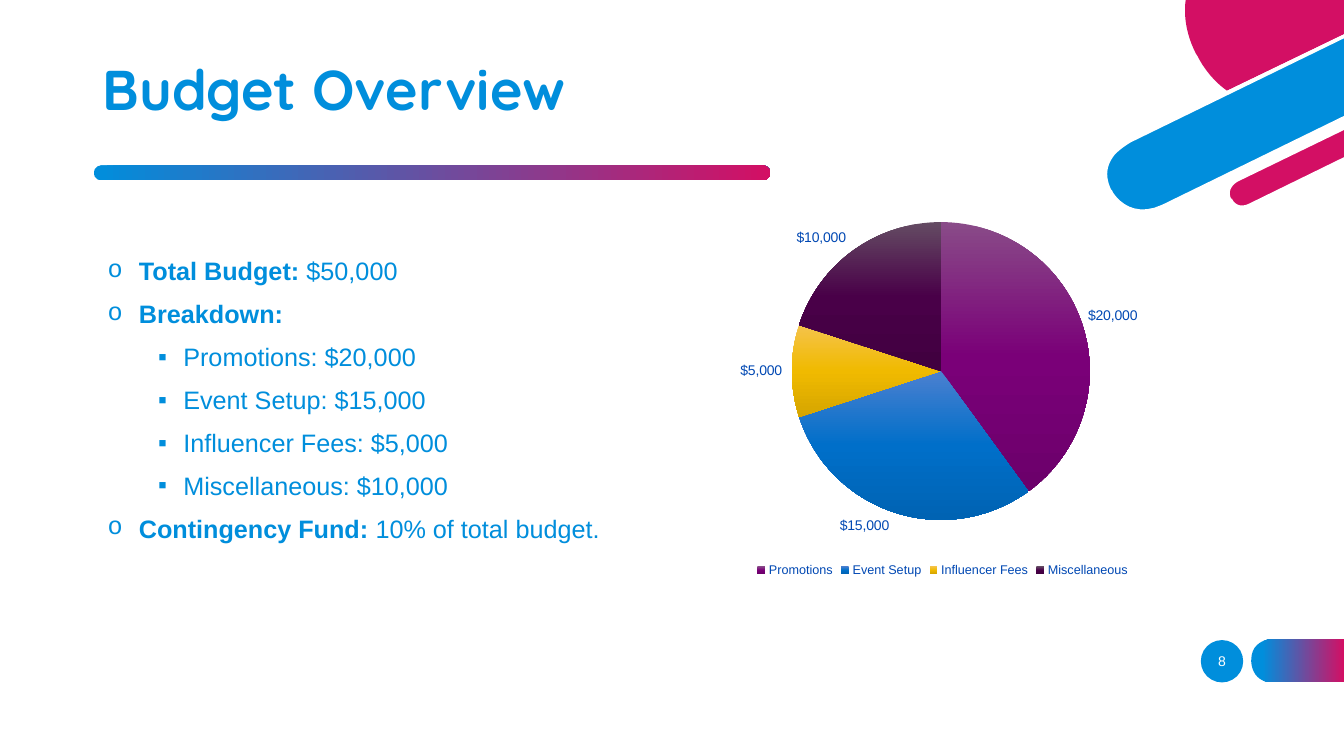
import typing
from dataclasses import dataclass

import lxml.etree
import pptx
import pptx.chart.data
import pptx.dml.color
import pptx.enum.chart
import pptx.enum.shapes
import pptx.enum.text
import pptx.oxml.ns
import pptx.util

Inches = pptx.util.Inches
Pt = pptx.util.Pt
RGBColor = pptx.dml.color.RGBColor
ShapeKind = pptx.enum.shapes.MSO_SHAPE
Align = pptx.enum.text.PP_ALIGN
Anchor = pptx.enum.text.MSO_ANCHOR
qn = pptx.oxml.ns.qn

BLUE = RGBColor(0x00, 0x8E, 0xDC)
CRIMSON = RGBColor(0xD3, 0x0F, 0x64)
WHITE = RGBColor(0xFF, 0xFF, 0xFF)
CHART_TEXT = RGBColor(0x00, 0x48, 0xB3)
BRAND_STOPS = ((0, BLUE), (100, CRIMSON))
TAB_STOPS = ((12, BLUE), (100, CRIMSON))
CURVE_STEPS = 12


@dataclass(frozen=True)
class Outline:
    """Closed outline: two numbers make a line, six a cubic curve."""
    start: tuple[float, float]
    segments: tuple[tuple[float, ...], ...]
    color: RGBColor = WHITE


@dataclass(frozen=True)
class Bullet:
    label: str
    detail: str = ""
    nested: bool = False


@dataclass(frozen=True)
class Expense:
    name: str
    amount: int
    shades: tuple[str, str, str]


PAGE_TAB = Outline((12.62, 6.77), (
    (13.33, 6.77), (13.33, 6.34), (12.62, 6.34),
    (12.62, 6.34, 12.41, 6.34, 12.41, 6.55), (12.41, 6.56),
    (12.41, 6.56, 12.41, 6.77, 12.62, 6.77)))

CORNER = (
    Outline((11.21, 1.39), (
        (11.21, 1.39, 10.85, 1.57, 11.01, 1.89), (11.01, 1.9),
        (11.01, 1.9, 11.17, 2.22, 11.54, 2.04),
        (13.33, 1.17), (13.33, 0.36)), BLUE),
    Outline((11.88, 0.56), (
        (11.88, 0.56, 11.97, 0.76, 12.17, 0.9), (13.33, 0.34), (13.33, 0),
        (11.76, 0), (11.74, 0.15, 11.76, 0.33, 11.86, 0.53)), CRIMSON),
    Outline((13.33, 1.26), (
        (12.27, 1.78), (12.27, 1.78, 12.13, 1.85, 12.2, 1.97), (12.2, 1.98),
        (12.2, 1.98, 12.26, 2.11, 12.4, 2.04), (13.33, 1.58)), CRIMSON),
    Outline((12.39, 2.02), (
        (12.27, 2.08, 12.22, 1.98, 12.22, 1.97), (12.21, 1.97),
        (12.16, 1.86, 12.28, 1.8, 12.28, 1.8), (13.33, 1.29), (13.33, 1.24),
        (12.26, 1.76), (12.26, 1.76, 12.19, 1.8, 12.17, 1.87),
        (12.15, 1.91, 12.16, 1.95, 12.18, 1.99),
        (12.2, 2.03, 12.25, 2.08, 12.32, 2.08),
        (12.35, 2.08, 12.38, 2.08, 12.41, 2.06), (13.33, 1.61), (13.33, 1.56))),
    Outline((11.53, 2.03), (
        (11.19, 2.19, 11.03, 1.9, 11.03, 1.89), (11.02, 1.88),
        (10.96, 1.75, 10.97, 1.64, 11.06, 1.53),
        (11.13, 1.46, 11.22, 1.41, 11.22, 1.41), (13.33, 0.38), (13.33, 0.34),
        (11.2, 1.37), (11.19, 1.38, 11.02, 1.46, 10.96, 1.63),
        (10.93, 1.71, 10.94, 1.8, 10.99, 1.9), (10.99, 1.91),
        (10.99, 1.91, 11.1, 2.12, 11.33, 2.12),
        (11.39, 2.12, 11.46, 2.1, 11.54, 2.06), (13.33, 1.19), (13.33, 1.15))),
)

EXPENSES = (
    Expense("Promotions", 20000, ("894B88", "7A0078", "6C006B")),
    Expense("Event Setup", 15000, ("4B80D0", "006FC9", "0063B3")),
    Expense("Influencer Fees", 5000, ("F5C34B", "F0BA00", "D5A500")),
    Expense("Miscellaneous", 10000, ("644B63", "490048", "410040")),
)

BULLETS = (
    Bullet("Total Budget:", " $50,000"),
    Bullet("Breakdown:"),
    *(Bullet("", f"{item.name}: ${item.amount:,}", nested=True) for item in EXPENSES),
    Bullet("Contingency Fund:", " 10% of total budget."),
)


def set_gradient(element: typing.Any, stops: typing.Iterable, degrees: int = 0) -> None:
    """Give the first gradient fill inside the element these stops and angle."""
    gradient = next(element.iter(qn("a:gradFill")))
    stop_list = gradient.find(qn("a:gsLst"))
    for old_stop in list(stop_list):
        stop_list.remove(old_stop)
    for percent, color in stops:
        stop = lxml.etree.SubElement(stop_list, qn("a:gs"), pos=str(percent * 1000))
        lxml.etree.SubElement(stop, qn("a:srgbClr"), val=str(color))
    gradient.find(qn("a:lin")).set("ang", str(degrees * 60000))


def style_shape(shape: typing.Any, color: RGBColor | None = None, stops: tuple = BRAND_STOPS) -> None:
    """Fill with the colour, or with the gradient stops if there is none."""
    shape.shadow.inherit = False
    shape.line.fill.background()
    if color is None:
        shape.fill.gradient()
        set_gradient(shape.element, stops)
    else:
        shape.fill.solid()
        shape.fill.fore_color.rgb = color


def trace(outline: Outline) -> list[tuple[int, int]]:
    """Turn the segments into points, sampling each curve evenly."""
    points = [outline.start]
    for segment in outline.segments:
        if len(segment) == 2:
            points.append(segment)
            continue
        x0, y0 = points[-1]
        x1, y1, x2, y2, x3, y3 = segment
        for step in range(1, CURVE_STEPS + 1):
            t = step / CURVE_STEPS
            a, b, c, d = (1 - t) ** 3, 3 * t * (1 - t) ** 2, 3 * t * t * (1 - t), t ** 3
            points.append((a * x0 + b * x1 + c * x2 + d * x3,
                           a * y0 + b * y1 + c * y2 + d * y3))
    return [(Inches(x), Inches(y)) for x, y in points]


def draw_outline(page: typing.Any, outline: Outline) -> typing.Any:
    first, *others = trace(outline)
    builder = page.shapes.build_freeform(*first)
    builder.add_line_segments(others, close=True)
    return builder.convert_to_shape()


def add_text_box(page: typing.Any, left: float, top: float, width: float, height: float,
                 anchor: typing.Any = Anchor.MIDDLE) -> typing.Any:
    box = page.shapes.add_textbox(Inches(left), Inches(top), Inches(width), Inches(height))
    box.text_frame.word_wrap = True
    box.text_frame.vertical_anchor = anchor
    return box


def add_bullets(page: typing.Any) -> None:
    frame = add_text_box(page, 0.47, 2.47, 6.67, 2.9, Anchor.TOP).text_frame
    frame.text = "\n".join(bullet.label + bullet.detail for bullet in BULLETS)
    for para, bullet in zip(frame.paragraphs, BULLETS):
        indent, hang = (1.25, 0.25) if bullet.nested else (0.81, 0.31)
        symbol, typeface = ("▪", "Arial") if bullet.nested else ("o", "Courier New")
        properties = para._p.get_or_add_pPr()
        properties.set("marL", str(Inches(indent)))
        properties.set("indent", str(-Inches(hang)))
        lxml.etree.SubElement(properties, qn("a:buFont"), typeface=typeface)
        lxml.etree.SubElement(properties, qn("a:buChar"), char=symbol)
        para.line_spacing = 1.05
        para.space_after = Pt(8)
        if bullet.label:
            para.runs[0].text = bullet.label
            para.runs[0].font.bold = True
            if bullet.detail:
                para.add_run().text = bullet.detail
        for span in para.runs:
            span.font.name, span.font.size = "Arial", Pt(18)
            span.font.color.rgb = BLUE


def add_budget_chart(page: typing.Any) -> None:
    data = pptx.chart.data.CategoryChartData()
    data.categories = [item.name for item in EXPENSES]
    data.add_series("Series 1", [item.amount for item in EXPENSES])
    chart = page.shapes.add_chart(pptx.enum.chart.XL_CHART_TYPE.PIE, Inches(6.11), Inches(2),
                                  Inches(6.48), Inches(3.77), data).chart
    chart.has_title = False
    chart.has_legend = True
    chart.legend.position = pptx.enum.chart.XL_LEGEND_POSITION.BOTTOM
    chart.legend.include_in_layout = False
    plot = chart.plots[0]
    plot.vary_by_categories = True
    plot.has_data_labels = True
    labels = plot.data_labels
    labels.show_value = True
    labels.number_format = '"$"#,##0_);[Red]\\("$"#,##0\\)'
    labels.number_format_is_linked = False
    labels.position = pptx.enum.chart.XL_LABEL_POSITION.OUTSIDE_END
    for font, size in ((chart.font, 10), (labels.font, 10), (chart.legend.font, 9)):
        font.name, font.size = "Arial", Pt(size)
        font.color.rgb = CHART_TEXT
    for index in range(len(EXPENSES)):
        plot.series[0].points[index].format.fill.gradient()
    for slice_element, item in zip(chart.element.iter(qn("c:dPt")), EXPENSES):
        set_gradient(slice_element, zip((0, 50, 100), item.shades), 90)


def main() -> None:
    deck = pptx.Presentation()
    deck.slide_width, deck.slide_height = Inches(13.33), Inches(7.5)
    page = deck.slides.add_slide(deck.slide_layouts[6])

    circle = page.shapes.add_shape(ShapeKind.OVAL, Inches(11.91), Inches(6.35), Inches(0.42), Inches(0.42))
    style_shape(circle, BLUE)
    style_shape(draw_outline(page, PAGE_TAB), stops=TAB_STOPS)
    for outline in CORNER:
        style_shape(draw_outline(page, outline), outline.color)
    rule = page.shapes.add_shape(ShapeKind.ROUNDED_RECTANGLE, Inches(0.93), Inches(1.64),
                                 Inches(6.71), Inches(0.15))
    rule.adjustments[0] = 0.5
    style_shape(rule)

    number = add_text_box(page, 11.82, 6.36, 0.6, 0.4).text_frame
    number.text = "8"
    number.paragraphs[0].alignment = Align.CENTER
    number_font = number.paragraphs[0].runs[0].font
    number_font.name, number_font.size = "Arial", Pt(10)
    number_font.color.rgb = WHITE

    title = add_text_box(page, 0.92, 0.4, 9.9, 1.03)
    title.text_frame.text = "Budget Overview"
    heading = title.text_frame.paragraphs[0]
    heading.line_spacing = 0.9
    heading_font = heading.runs[0].font
    heading_font.name, heading_font.size, heading_font.bold = "Quicksand", Pt(40), True
    heading_font.fill.gradient()
    set_gradient(title.element, BRAND_STOPS)

    add_budget_chart(page)
    add_bullets(page)
    deck.save("out.pptx")


if __name__ == "__main__":
    main()
